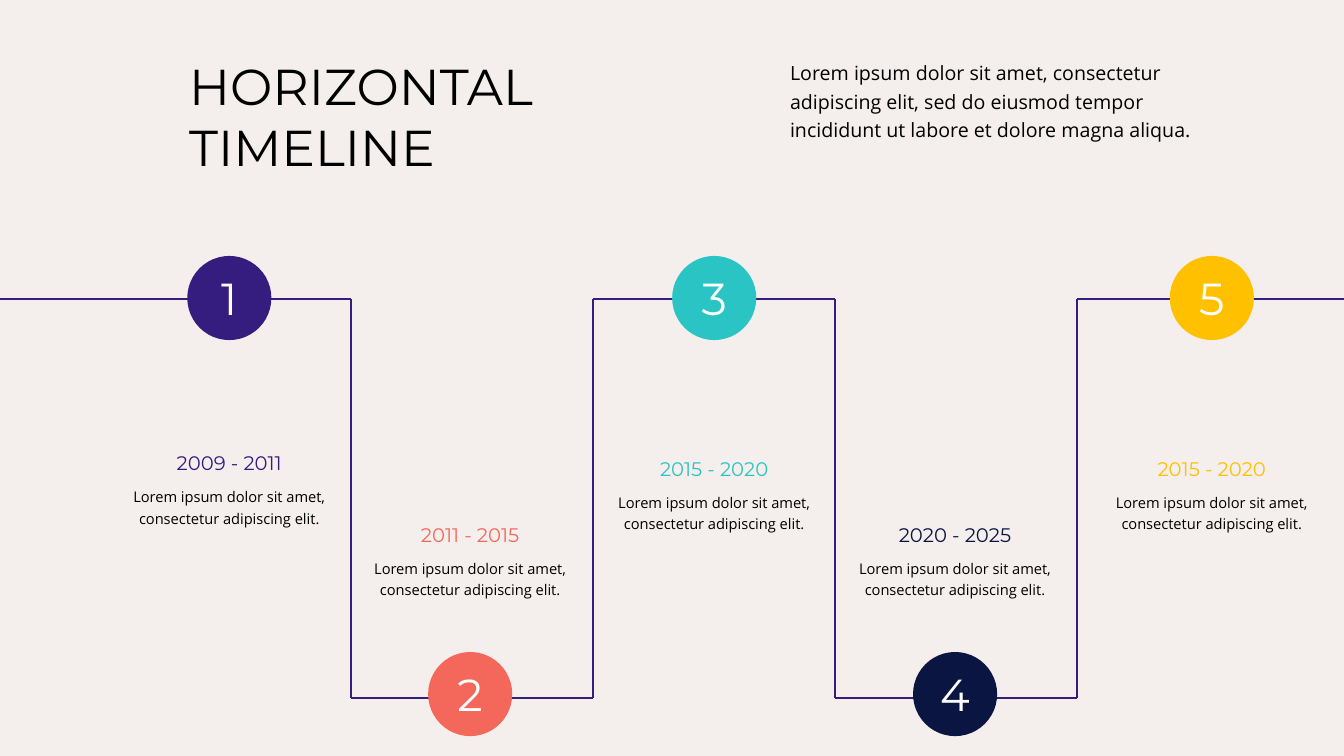
from dataclasses import dataclass
from itertools import pairwise

import lxml.etree
import pptx
import pptx.dml.color
import pptx.enum.shapes
import pptx.enum.text
import pptx.oxml.ns
import pptx.util

Cm = pptx.util.Cm
Align = pptx.enum.text.PP_ALIGN
Anchor = pptx.enum.text.MSO_ANCHOR


@dataclass(frozen=True)
class Theme:
    background: str = "F4EFEC"
    text: str = "000000"
    white: str = "FFFFFF"
    violet: str = "351D7F"
    coral: str = "F4685B"
    teal: str = "2AC4C4"
    navy: str = "0B1541"
    amber: str = "FFC000"
    heading_font: str = "Montserrat"
    body_font: str = "Open Sans"
    title_size: float = 36
    number_size: float = 32
    lead_size: float = 14
    body_size: float = 10.5
    line_width: float = 1.5


@dataclass(frozen=True)
class Milestone:
    years: str
    color: str
    center: float
    circle_top: float
    years_top: float
    years_width: float = 3.33


THEME = Theme()
WIDTH, HEIGHT = 33.87, 19.05
UPPER, LOWER = 7.54, 17.58
FIRST_TURN, TURN_STEP, TURNS = 8.84, 6.1, 4
CIRCLE = 2.12
UPPER_CIRCLE, LOWER_CIRCLE = 6.45, 16.43
BODY_WIDTH, BODY_OFFSET = 5.69, 0.84
DESCRIPTION = "Lorem ipsum dolor sit amet, consectetur adipiscing elit."
INTRODUCTION = (
    "Lorem ipsum dolor sit amet, consectetur adipiscing elit, sed do eiusmod "
    "tempor incididunt ut labore et dolore magna aliqua."
)
MILESTONES = [
    Milestone("2009 - 2011", THEME.violet, 5.78, UPPER_CIRCLE, 11.25),
    Milestone("2011 - 2015", THEME.coral, 11.85, LOWER_CIRCLE, 13.06),
    Milestone("2015 - 2020", THEME.teal, 18.0, UPPER_CIRCLE, 11.38),
    Milestone("2020 - 2025", THEME.navy, 24.07, LOWER_CIRCLE, 13.06, 4.14),
    Milestone("2015 - 2020", THEME.amber, 30.54, UPPER_CIRCLE, 11.38),
]


def rgb(color: str) -> pptx.dml.color.RGBColor:
    return pptx.dml.color.RGBColor.from_string(color)


def write_text(frame, text: str, *, font: str, size: float, color: str = THEME.text,
               align=Align.LEFT, anchor=Anchor.TOP, spacing: float = 1.0) -> None:
    """Fill a text frame, one paragraph for each line of text."""
    frame.word_wrap = True
    frame.vertical_anchor = anchor
    for index, line in enumerate(text.split("\n")):
        para = frame.paragraphs[0] if index == 0 else frame.add_paragraph()
        para.alignment = align
        para.line_spacing = spacing
        span = para.add_run()
        span.text = line
        span.font.name = font
        span.font.size = pptx.util.Pt(size)
        span.font.color.rgb = rgb(color)


def add_text(page, left: float, top: float, width: float, height: float,
             text: str, **text_format) -> None:
    box = page.shapes.add_textbox(Cm(left), Cm(top), Cm(width), Cm(height))
    write_text(box.text_frame, text, **text_format)
    box.text_frame.auto_size = pptx.enum.text.MSO_AUTO_SIZE.SHAPE_TO_FIT_TEXT


def add_line(page, start: tuple[float, float], end: tuple[float, float]) -> None:
    line = page.shapes.add_connector(
        pptx.enum.shapes.MSO_CONNECTOR.STRAIGHT, *map(Cm, start + end))
    line.line.color.rgb = rgb(THEME.violet)
    line.line.width = pptx.util.Pt(THEME.line_width)
    properties = line._element.spPr
    lxml.etree.SubElement(properties, pptx.oxml.ns.qn("a:effectLst"))


def add_track(page) -> None:
    """Draw the stepped line that alternates between the two levels."""
    levels = [UPPER, LOWER]
    corners = [(0.0, UPPER)]
    for turn in range(TURNS):
        x = FIRST_TURN + turn * TURN_STEP
        corners += [(x, levels[turn % 2]), (x, levels[(turn + 1) % 2])]
    corners.append((WIDTH, UPPER))
    for start, end in pairwise(corners):
        add_line(page, start, end)


def add_milestone(page, number: int, milestone: Milestone) -> None:
    # Numbered circle
    circle = page.shapes.add_shape(
        pptx.enum.shapes.MSO_SHAPE.FLOWCHART_CONNECTOR,
        Cm(milestone.center - CIRCLE / 2), Cm(milestone.circle_top),
        Cm(CIRCLE), Cm(CIRCLE))
    circle.shadow.inherit = False
    circle.fill.solid()
    circle.fill.fore_color.rgb = rgb(milestone.color)
    circle.line.fill.background()
    write_text(circle.text_frame, str(number), font=THEME.heading_font,
               size=THEME.number_size, color=THEME.white,
               align=Align.CENTER, anchor=Anchor.MIDDLE)

    # Years and description
    add_text(page, milestone.center - milestone.years_width / 2, milestone.years_top,
             milestone.years_width, 0.86, milestone.years, font=THEME.heading_font,
             size=THEME.lead_size, color=milestone.color, align=Align.CENTER)
    add_text(page, milestone.center - BODY_WIDTH / 2, milestone.years_top + BODY_OFFSET,
             BODY_WIDTH, 1.3, DESCRIPTION, font=THEME.body_font,
             size=THEME.body_size, align=Align.CENTER, spacing=1.2)


def main() -> None:
    deck = pptx.Presentation()
    deck.slide_width, deck.slide_height = Cm(WIDTH), Cm(HEIGHT)
    page = deck.slides.add_slide(deck.slide_layouts[6])
    page.background.fill.solid()
    page.background.fill.fore_color.rgb = rgb(THEME.background)

    # Title and introduction
    add_text(page, 4.52, 1.27, 9.7, 3.33, "HORIZONTAL\nTIMELINE",
             font=THEME.heading_font, size=THEME.title_size)
    add_text(page, 19.66, 1.3, 11.51, 2.36, INTRODUCTION,
             font=THEME.body_font, size=THEME.lead_size, spacing=1.2)

    # Timeline
    add_track(page)
    for number, milestone in enumerate(MILESTONES, start=1):
        add_milestone(page, number, milestone)

    deck.save("out.pptx")


if __name__ == "__main__":
    main()
